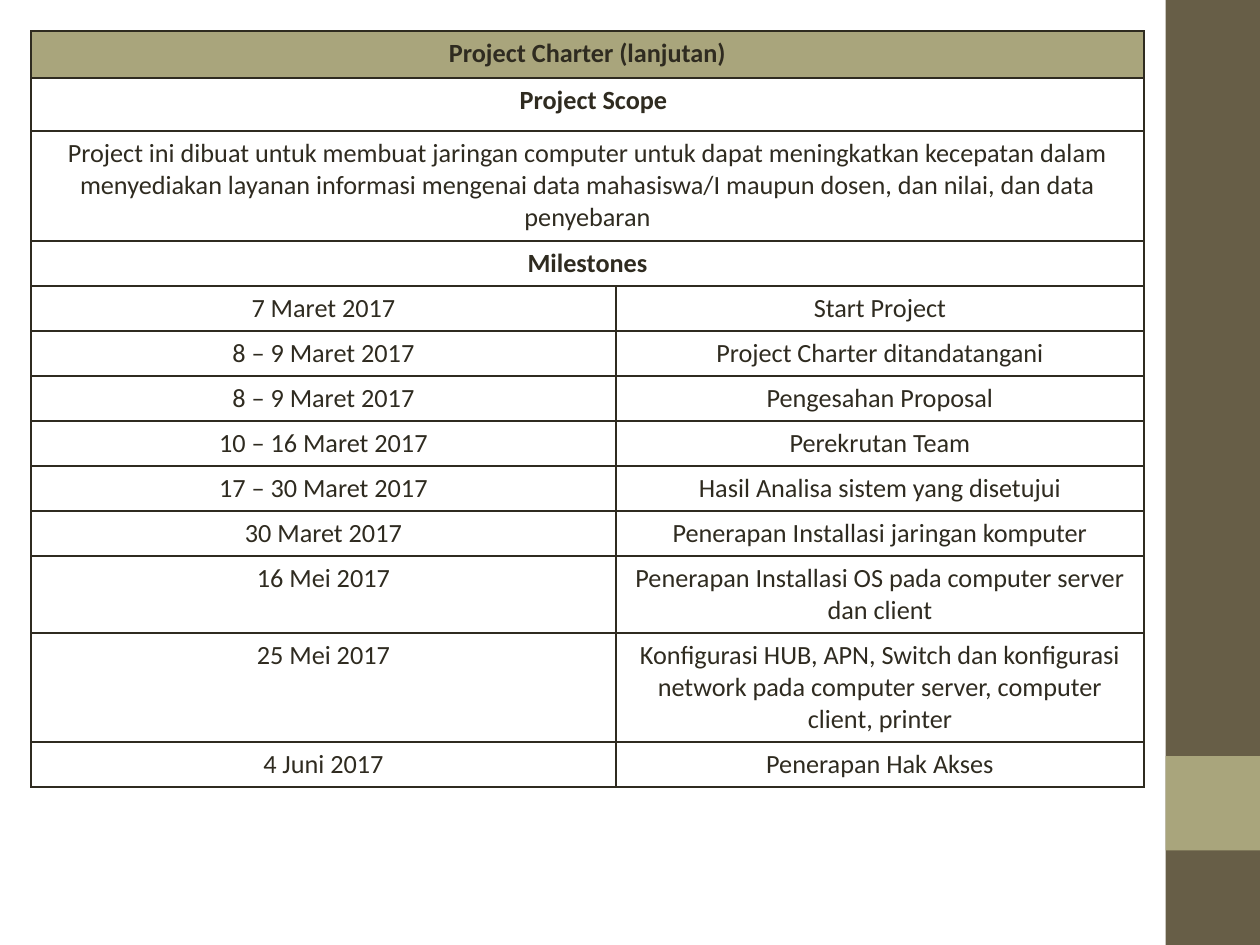
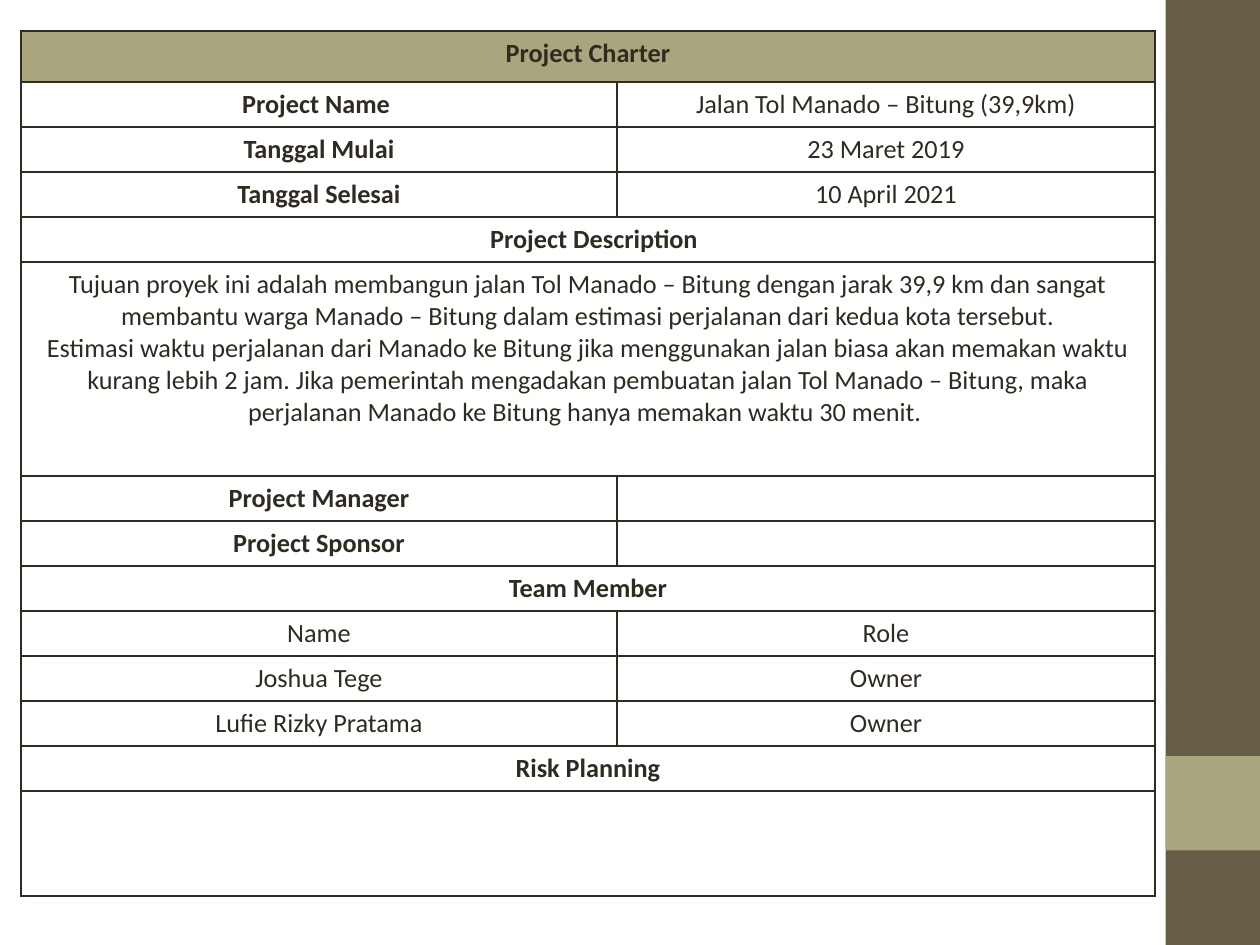
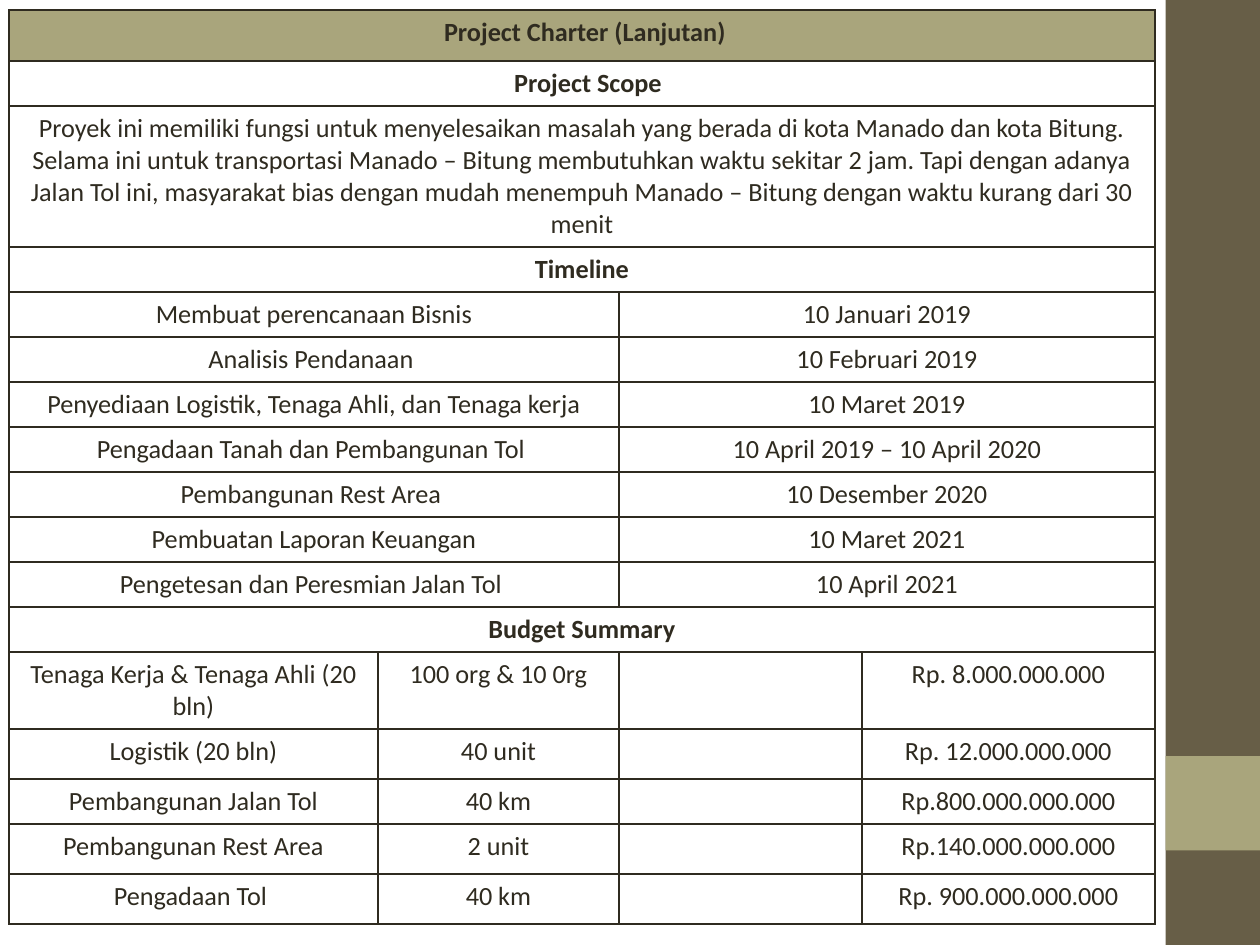
import pptx
import pptx.util
import pptx.dml.color
import pptx.enum.shapes
import pptx.enum.text
import pptx.oxml.ns
from lxml import etree

RGB = pptx.dml.color.RGBColor
INK = RGB(0x2F, 0x2B, 0x20)
BROWN = RGB(0x67, 0x5E, 0x47)
SAGE = RGB(0xA9, 0xA5, 0x7C)
WHITE = RGB(0xFF, 0xFF, 0xFF)
FONT = "Calibri"
SIZE = 15
LINE = 45    # height of a row with one line of text
NUDGE = 12   # extra left margin of a shifted heading
tag = pptx.oxml.ns.qn


def px(num):
    return pptx.util.Emu(round(num * 914400 / 126))


def bold(text, shift=0):
    return {"text": text, "bold": True, "shift": shift}


def write(cell, text, bold=False, shift=0, size=SIZE, color=INK):
    """Fill a cell with centred text, one paragraph a line."""
    cell.margin_left = px(12.6 + shift)
    frame = cell.text_frame
    for num, line in enumerate(text.split("\n")):
        para = frame.add_paragraph() if num else frame.paragraphs[0]
        para.alignment = pptx.enum.text.PP_ALIGN.CENTER
        if line:
            run = para.add_run()
            run.text = line
            font = run.font
            font.name, font.size, font.bold = FONT, pptx.util.Pt(size), bold
            font.color.rgb = color
        else:
            etree.SubElement(para._p, tag("a:endParaRPr"), sz=str(size * 100))


class Deck:
    def __init__(self):
        self.prs = pptx.Presentation()
        self.prs.slide_width = px(1260)
        self.prs.slide_height = px(945)
        self.slide = None

    def page(self):
        """Start a slide with the side band."""
        self.slide = self.prs.slides.add_slide(self.prs.slide_layouts[6])
        self.box(1165.5, 0, 94.5, 945, BROWN)
        self.box(1165.5, 756, 94.5, 94.5, SAGE)

    def box(self, left, top, wide, high, fill):
        kind = pptx.enum.shapes.MSO_SHAPE.RECTANGLE
        shape = self.slide.shapes.add_shape(
            kind, px(left), px(top), px(wide), px(high))
        shape.shadow.inherit = False
        shape.fill.solid()
        shape.fill.fore_color.rgb = fill
        shape.line.fill.background()

    def border(self, cell, color=INK):
        props = cell._tc.get_or_add_tcPr()
        for side in ("lnL", "lnR", "lnT", "lnB"):
            line = etree.SubElement(props, tag("a:" + side), w="12700")
            fill = etree.SubElement(line, tag("a:solidFill"))
            etree.SubElement(fill, tag("a:srgbClr"), val=str(color))

    def table(self, left, top, cols, rows):
        """Draw rows of (height, cell, ...); cells share the columns evenly."""
        high = sum(row[0] for row in rows)
        grid = self.slide.shapes.add_table(
            len(rows), len(cols), px(left), px(top), px(sum(cols)), px(high)).table
        grid.first_row = grid.horz_banding = False
        for col, wide in zip(grid.columns, cols):
            col.width = px(wide)
        for y, (high, *cells) in enumerate(rows):
            grid.rows[y].height = px(high)
            for x in range(len(cols)):
                cell = grid.cell(y, x)
                self.border(cell)
                cell.fill.solid()
                cell.fill.fore_color.rgb = WHITE if y else SAGE
            span = len(cols) // len(cells)
            for num, item in enumerate(cells):
                cell = grid.cell(y, num * span)
                if span > 1:
                    cell.merge(grid.cell(y, num * span + span - 1))
                write(cell, **(item if isinstance(item, dict) else {"text": item}))


# Scope and milestones of the network project
MILES = [
    (47, bold("Project Charter (lanjutan)")),
    (53, bold("Project Scope", NUDGE)),
    (110, "Project ini dibuat untuk membuat jaringan computer untuk dapat "
          "meningkatkan kecepatan dalam menyediakan layanan informasi mengenai "
          "data mahasiswa/I maupun dosen, dan nilai, dan data penyebaran"),
    (LINE, bold("Milestones")),
    (LINE, "7 Maret 2017", "Start Project"),
    (LINE, "8 – 9 Maret 2017", "Project Charter ditandatangani"),
    (LINE, "8 – 9 Maret 2017", "Pengesahan Proposal"),
    (LINE, "10 – 16 Maret 2017", "Perekrutan Team"),
    (LINE, "17 – 30 Maret 2017", "Hasil Analisa sistem yang disetujui"),
    (LINE, "30 Maret 2017", "Penerapan Installasi jaringan komputer"),
    (77, "16 Mei 2017", "Penerapan Installasi OS pada computer server dan client"),
    (109, "25 Mei 2017", "Konfigurasi HUB, APN, Switch dan konfigurasi network "
                         "pada computer server, computer client, printer"),
    (LINE, "4 Juni 2017", "Penerapan Hak Akses"),
]

# Charter of the toll road
CHARTER = [
    (51, bold("Project Charter")),
    (LINE, bold("Project Name "), "Jalan Tol Manado – Bitung (39,9km)"),
    (LINE, bold("Tanggal Mulai"), "23 Maret 2019"),
    (LINE, bold("Tanggal Selesai"), "10 April 2021"),
    (LINE, bold("Project Description", NUDGE)),
    (214, "Tujuan proyek ini adalah membangun jalan Tol Manado – Bitung dengan "
          "jarak 39,9 km dan sangat membantu warga Manado – Bitung dalam "
          "estimasi perjalanan dari kedua kota tersebut.\n"
          "Estimasi waktu perjalanan dari Manado ke Bitung jika menggunakan "
          "jalan biasa akan memakan waktu kurang lebih 2 jam. Jika pemerintah "
          "mengadakan pembuatan jalan Tol Manado – Bitung, maka perjalanan "
          "Manado ke Bitung hanya memakan waktu 30 menit. "),
    (LINE, bold("Project Manager"), ""),
    (LINE, bold("Project Sponsor"), ""),
    (LINE, bold("Team Member")),
    (LINE, "Name", "Role"),
    (LINE, "Joshua Tege", "Owner"),
    (LINE, "Lufie Rizky Pratama", "Owner"),
    (LINE, bold("Risk Planning")),
    (105, ""),
]

# Scope, timeline and budget of the toll road
BUDGET = [
    (51, bold(" Project Charter (Lanjutan)")),
    (LINE, bold("Project Scope", NUDGE)),
    (141, "Proyek ini memiliki fungsi untuk menyelesaikan masalah yang berada "
          "di kota Manado dan kota Bitung. Selama ini untuk transportasi "
          "Manado – Bitung membutuhkan waktu sekitar 2 jam. Tapi dengan adanya "
          "Jalan Tol ini, masyarakat bias dengan mudah menempuh Manado – Bitung "
          "dengan waktu kurang dari 30 menit"),
    (LINE, bold("Timeline")),
    (LINE, "Membuat perencanaan Bisnis", "10 Januari 2019"),
    (LINE, "Analisis Pendanaan ", "10 Februari 2019"),
    (LINE, "Penyediaan Logistik, Tenaga Ahli, dan Tenaga kerja", "10 Maret 2019"),
    (LINE, "Pengadaan Tanah dan Pembangunan Tol ", "10 April 2019 – 10 April 2020"),
    (LINE, "Pembangunan Rest Area ", "10 Desember 2020"),
    (LINE, "Pembuatan Laporan Keuangan", "10 Maret 2021"),
    (LINE, "Pengetesan dan Peresmian Jalan Tol ", "10 April 2021"),
    (LINE, bold("Budget Summary")),
    (77, "Tenaga Kerja & Tenaga Ahli (20 bln)", "100 org & 10 0rg", "",
     "Rp. 8.000.000.000"),
    (50, "Logistik (20 bln)", "40 unit", "", "Rp. 12.000.000.000"),
    (LINE, "Pembangunan Jalan Tol", "40 km", "", "Rp.800.000.000.000"),
    (50, "Pembangunan Rest Area", "2 unit", "", "Rp.140.000.000.000"),
    (50, "Pengadaan Tol ", "40 km", "", "Rp. 900.000.000.000"),
]


def main():
    deck = Deck()
    for left, top, cols, rows in (
            (31, 31, (585, 528), MILES),
            (21, 31, (596, 538), CHARTER),
            (9, 10, (369, 241, 243, 293), BUDGET)):
        deck.page()
        deck.table(left, top, cols, rows)
    deck.prs.save("out.pptx")


if __name__ == "__main__":
    main()
